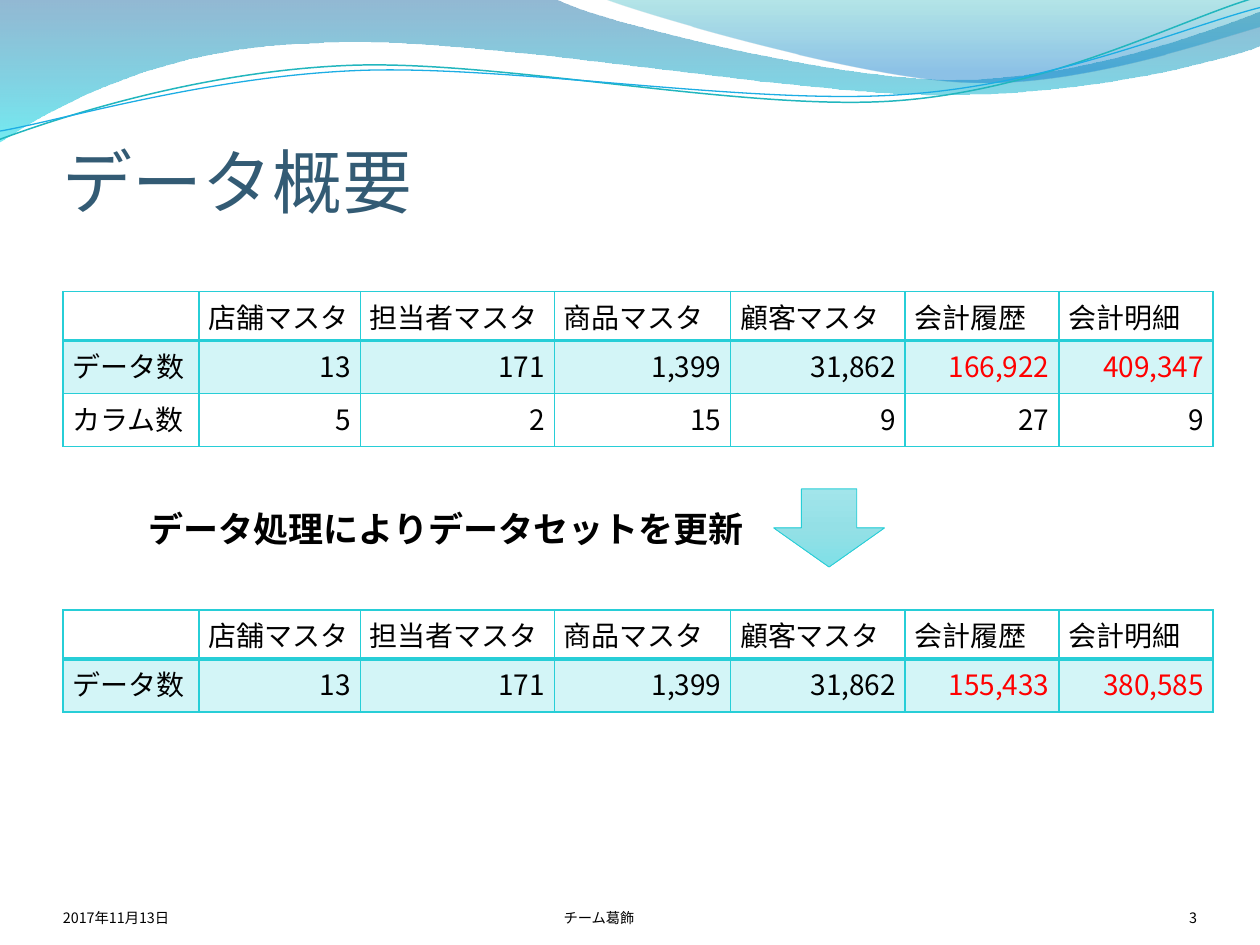
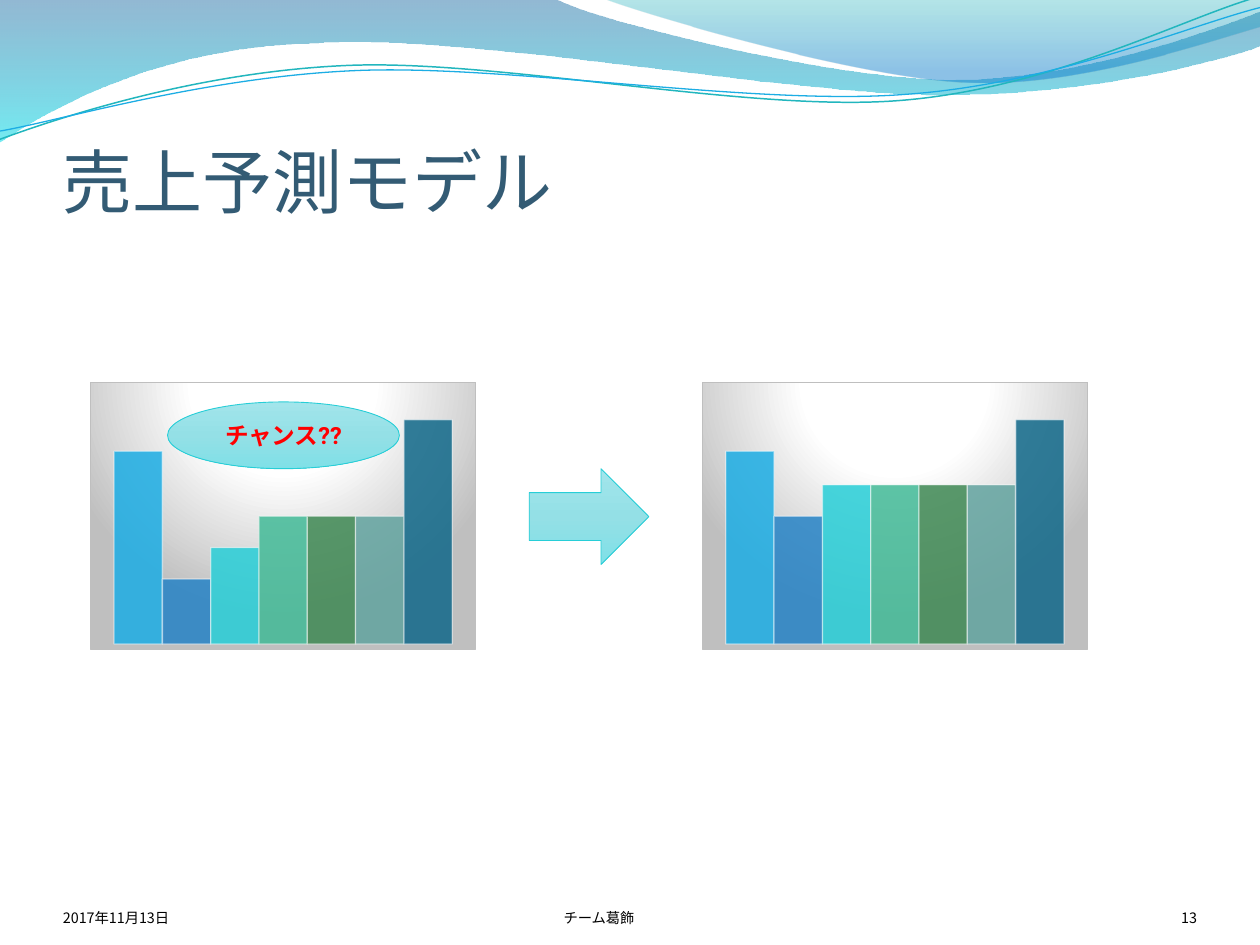
"""Build two slides: a data overview and a sales forecast model."""
from dataclasses import dataclass
from math import cos, radians, sin

from lxml import etree
from pptx import Presentation
from pptx.chart.data import CategoryChartData
from pptx.dml.color import RGBColor
from pptx.enum.chart import XL_CHART_TYPE
from pptx.enum.shapes import MSO_SHAPE
from pptx.enum.text import MSO_ANCHOR, PP_ALIGN
from pptx.oxml.ns import qn
from pptx.util import Inches, Pt

LEFT, CENTER, RIGHT = PP_ALIGN.LEFT, PP_ALIGN.CENTER, PP_ALIGN.RIGHT
TOP, MIDDLE, BOTTOM = MSO_ANCHOR.TOP, MSO_ANCHOR.MIDDLE, MSO_ANCHOR.BOTTOM
DOWN_ARROW, RIGHT_ARROW = MSO_SHAPE.DOWN_ARROW, MSO_SHAPE.RIGHT_ARROW
OVAL = MSO_SHAPE.OVAL
CLUSTERED = XL_CHART_TYPE.COLUMN_CLUSTERED
BLANK_LAYOUT = 6

# The slide is a grid of 100 columns by 75 rows with square cells.
SLIDE_WIDTH, SLIDE_HEIGHT = Inches(10), Inches(7.5)
CELL = SLIDE_WIDTH // 100


@dataclass(frozen=True)
class Theme:
    """Colours, fonts and type sizes of the deck."""
    font: str = "Noto Sans CJK JP"
    chart_font: str = "Roboto"
    title: str = "335B74"
    text: str = "000000"
    alert: str = "FF0000"
    accent: str = "27CED7"
    white: str = "FFFFFF"
    panel_edge: str = "BFBFBF"
    bars: tuple = ("1CADE4", "2683C6", "27CED7", "42BA97", "3E8853", "62A39F", "106889")
    glow: tuple = ((0, "A2E5EB", 100), (50, "94E0E6", 100), (100, "7FE0E7", 100))
    panel: tuple = ((0, "FFFFFF", 100), (39, "FFFFFF", 100), (100, "BFBFBF", 100))
    title_size: float = 40
    lead_size: float = 20
    table_size: float = 16
    callout_size: float = 13.5
    chart_size: float = 10
    footer_size: float = 8.2


THEME = Theme()

# Wave outlines in grid cells: a pair is a straight step, six numbers a curve.
WAVE_BANDS = (
    (((0, 0), (44, -.1), (47.5, 1.7, 66.3, 6.3, 75.8, 6.3),
      (85.3, 6.3, 95.8, 2.6, 100, .9), (100.1, 3.6),
      (98.3, 4.4, 86.9, 7.6, 74.6, 7.5), (62.2, 7.5, 38.1, 2.8, 25.7, 3.4),
      (12.9, 3.6, 4.6, 8.3, -.1, 11.3), (0, 0)),
     ((0, "10639E", 45), (100, "00DBE7", 55))),
    (((47.9, -.1), (50.9, 1.1, 68.2, 6.2, 76.8, 6.5),
      (85.5, 6.9, 96.1, 3.2, 100, 2.1), (100, 0), (47.9, -.1)),
     ((0, "09AAB3", 30), (80, "0578CB", 45))),
)
# Each line has its outline, the centre it is turned around, colour and width.
WAVE_LINES = (
    (((-.1, 11.1), (4.8, 9.3, 15.7, 5.7, 27.6, 5.2),
      (39.5, 4.7, 59.2, 8.9, 71.2, 8), (83.3, 7.1, 93.8, 1.5, 99.7, -.2)),
     (49.9, 5.75), "22B6BE", .85),
    (((0, 10.4), (4.7, 9.6, 16.3, 6.1, 28.3, 5.6),
      (40.2, 5.1, 59.7, 8.4, 71.7, 7.5), (83.6, 6.7, 94.1, 2.1, 100, .6)),
     (49.95, 5.9), "1CADE4", .75),
)
WAVE_TURN = -2.7

TABLE_COLUMNS = (10.8, 12.8, 15.4, 14, 13.85, 12.2, 12.25)
TABLE_HEADER = ("", "店舗マスタ", "担当者マスタ", "商品マスタ", "顧客マスタ", "会計履歴", "会計明細")
COUNTS_BEFORE = ("データ数", "13", "171", "1,399", "31,862", "166,922", "409,347")
COUNTS_AFTER = ("データ数", "13", "171", "1,399", "31,862", "155,433", "380,585")
FIELD_COUNTS = ("カラム数", "5", "2", "15", "9", "27", "9")
FIRST_CHANGED_COLUMN = 5

SALES_NOW = (86, 29, 43, 57, 57, 57, 100)
SALES_GOAL = (86, 57, 71, 71, 71, 71, 100)
CHART_MAXIMUM = 114.3


def cells(*lengths):
    """Turn grid cells into slide lengths."""
    return [round(length * CELL) for length in lengths]


def color(value):
    """Return the colour object for a hex value."""
    return RGBColor.from_string(value)


def set_alpha(solid_fill, percent):
    """Set the opacity of a solid fill element."""
    etree.SubElement(solid_fill[0], qn("a:alpha"), val=str(percent * 1000))


def gradient(stops, focus=None):
    """Return a gradient element: downwards, or circular around a focus rectangle."""
    element = etree.Element(qn("a:gradFill"), rotWithShape="1")
    stop_list = etree.SubElement(element, qn("a:gsLst"))
    for position, value, opacity in stops:
        stop = etree.SubElement(stop_list, qn("a:gs"), pos=str(position * 1000))
        tint = etree.SubElement(stop, qn("a:srgbClr"), val=value)
        if opacity < 100:
            etree.SubElement(tint, qn("a:alpha"), val=str(opacity * 1000))
    if focus:
        circle = etree.SubElement(element, qn("a:path"), path="circle")
        sides = {side: str(share * 1000) for side, share in zip("ltrb", focus)}
        etree.SubElement(circle, qn("a:fillToRect"), **sides)
    else:
        etree.SubElement(element, qn("a:lin"), ang="5400000", scaled="0")
    return element


def fill_gradient(shape, stops):
    """Fill a shape with a downward gradient."""
    shape.fill.background()
    properties = shape._element.spPr
    properties.replace(properties.find(qn("a:noFill")), gradient(stops))


def set_line(line, value, width):
    """Give a line its colour and width in points."""
    line.color.rgb = color(value)
    line.width = Pt(width)


def write(frame, text, size, value=THEME.text, align=LEFT, bold=False, font=THEME.font):
    """Write one paragraph with a single font and return it."""
    paragraph = frame.paragraphs[0]
    paragraph.text = text
    paragraph.alignment = align
    paragraph.font.size = Pt(size)
    paragraph.font.bold = bold
    paragraph.font.name = font
    paragraph.font.color.rgb = color(value)
    defaults = paragraph._p.pPr.find(qn("a:defRPr"))
    etree.SubElement(defaults, qn("a:ea"), typeface=THEME.font)
    return paragraph


def add_text(slide, box, text, size, anchor=TOP, insets=None, **style):
    """Add a text box, with insets in grid cells, and return its paragraph."""
    frame = slide.shapes.add_textbox(*cells(*box)).text_frame
    frame.word_wrap = True
    frame.vertical_anchor = anchor
    if insets:
        (frame.margin_left, frame.margin_top,
         frame.margin_right, frame.margin_bottom) = cells(*insets)
    return write(frame, text, size, **style)


def turn(point, center, degrees):
    """Turn a point around a centre, clockwise on the slide."""
    x, y = point[0] - center[0], point[1] - center[1]
    c, s = cos(radians(degrees)), sin(radians(degrees))
    return center[0] + x * c - y * s, center[1] + x * s + y * c


def add_outline(slide, outline, center=(0, 0), rotation=0):
    """Add a freeform with real curves, drawn level and then rotated."""
    points = [turn(segment[i:i + 2], center, -rotation)
              for segment in outline for i in range(0, len(segment), 2)]
    first, *others = [cells(*point) for point in points]
    builder = slide.shapes.build_freeform(*first)
    builder.add_line_segments(others, close=outline[0] == outline[-1])
    shape = builder.convert_to_shape()
    shape.shadow.inherit = False
    shape.rotation = rotation
    steps = iter(list(shape._element.iter(qn("a:lnTo"))))
    for segment in outline[1:]:
        step = next(steps)
        if len(segment) == 6:
            curve = etree.Element(qn("a:cubicBezTo"))
            step.addprevious(curve)
            for handle in (step, next(steps), next(steps)):
                curve.append(handle[0])
                handle.getparent().remove(handle)
    return shape


def add_waves(slide):
    """Draw the wave bands and lines along the top edge."""
    for outline, stops in WAVE_BANDS:
        band = add_outline(slide, outline)
        fill_gradient(band, stops)
        band.line.fill.background()
    for outline, center, value, width in WAVE_LINES:
        curve = add_outline(slide, outline, center, WAVE_TURN)
        curve.fill.background()
        set_line(curve.line, value, width)


def add_base_slide(presentation, title, number):
    """Add a slide with waves, title and footer."""
    slide = presentation.slides.add_slide(presentation.slide_layouts[BLANK_LAYOUT])
    add_waves(slide)
    heading = add_text(slide, (5, 5.1, 90, 12.5), title, THEME.title_size,
                       anchor=BOTTOM, insets=(0, .5, 0, 0), value=THEME.title)
    heading.line_spacing = .8
    for left, width, text, align in ((5, 23.3, "2017年11月13日", LEFT),
                                     (29.2, 36.7, "チーム葛飾", CENTER),
                                     (86.7, 8.3, str(number), RIGHT)):
        add_text(slide, (left, 69.5, width, 4), text, THEME.footer_size,
                 anchor=BOTTOM, insets=(0, 0, 0, 0), align=align)
    return slide


def add_glow_shape(slide, kind, box):
    """Add a preset shape in the accent gradient."""
    shape = slide.shapes.add_shape(kind, *cells(*box))
    shape.shadow.inherit = False
    fill_gradient(shape, THEME.glow)
    set_line(shape.line, THEME.accent, .5)
    return shape


def set_borders(cell, top, bottom):
    """Frame a cell in the accent colour; top and bottom widths in points."""
    properties = cell._tc.get_or_add_tcPr()
    edges = (("a:lnL", 1), ("a:lnR", 1), ("a:lnT", top), ("a:lnB", bottom))
    for index, (tag, width) in enumerate(edges):
        edge = etree.Element(qn(tag), w=str(Pt(width)))
        fill = etree.SubElement(edge, qn("a:solidFill"))
        etree.SubElement(fill, qn("a:srgbClr"), val=THEME.accent)
        properties.insert(index, edge)


def add_data_table(slide, top, rows):
    """Add a table: a header, a tinted row of counts, then plain rows."""
    heights = [3.9] + [4.2] * (len(rows) - 1)
    box = cells(5, top, sum(TABLE_COLUMNS), sum(heights))
    table = slide.shapes.add_table(len(rows), len(TABLE_COLUMNS), *box).table
    table.first_row = table.horz_banding = False
    for column, width in zip(table.columns, cells(*TABLE_COLUMNS)):
        column.width = width
    for row, height in zip(table.rows, cells(*heights)):
        row.height = height
    for i, texts in enumerate(rows):
        for j, text in enumerate(texts):
            cell = table.cell(i, j)
            cell.margin_left, cell.margin_right = cells(.75, .75)
            cell.margin_top, cell.margin_bottom = cells(.37, .37)
            changed = i == 1 and j >= FIRST_CHANGED_COLUMN
            write(cell.text_frame, text, THEME.table_size,
                  value=THEME.alert if changed else THEME.text,
                  align=RIGHT if i and j else LEFT)
            if i == 1:
                cell.fill.solid()
                cell.fill.fore_color.rgb = color(THEME.accent)
                set_alpha(cell._tc.tcPr.find(qn("a:solidFill")), 20)
            else:
                cell.fill.background()
            set_borders(cell, top=2 if i == 1 else 1, bottom=1 if i else 2)


def add_sales_chart(slide, left, values):
    """Add a column chart with one bar per series on a shaded panel."""
    data = CategoryChartData()
    data.categories = ["1"]
    for number, value in enumerate(values, 1):
        data.add_series(f"Series {number}", [value])
    box = cells(left, 30.3, 30.65, 21.3)
    chart = slide.shapes.add_chart(CLUSTERED, *box, data).chart
    chart.has_legend = chart.has_title = False
    chart.font.name, chart.font.size = THEME.chart_font, Pt(THEME.chart_size)
    chart.font.color.rgb = color(THEME.text)
    chart.value_axis.has_major_gridlines = False
    chart.value_axis.minimum_scale, chart.value_axis.maximum_scale = 0, CHART_MAXIMUM
    chart.category_axis.visible = chart.value_axis.visible = False
    plot = chart.plots[0]
    plot.gap_width, plot.overlap, plot.vary_by_categories = 65, 0, False
    for series, value in zip(plot.series, THEME.bars):
        series.format.fill.solid()
        series.format.fill.fore_color.rgb = color(value)
        set_line(series.format.line, THEME.white, .75)
        properties = series._element.find(qn("c:spPr"))
        set_alpha(properties.find(qn("a:solidFill")), 85)
        set_alpha(properties.find(qn("a:ln")).find(qn("a:solidFill")), 50)
    panel = etree.Element(qn("c:spPr"))
    panel.append(gradient(THEME.panel, focus=(50, -80, 50, 180)))
    edge = etree.SubElement(panel, qn("a:ln"), w=str(Pt(.75)))
    fill = etree.SubElement(edge, qn("a:solidFill"))
    etree.SubElement(fill, qn("a:srgbClr"), val=THEME.panel_edge)
    chart._chartSpace.find(qn("c:chart")).addnext(panel)


def build_overview(presentation):
    """Build the slide with record counts before and after processing."""
    slide = add_base_slide(presentation, "データ概要", 3)
    add_data_table(slide, 23.15, (TABLE_HEADER, COUNTS_BEFORE, FIELD_COUNTS))
    add_glow_shape(slide, DOWN_ARROW, (61.4, 38.8, 8.8, 6.2))
    add_text(slide, (10.8, 39.8, 90, 4.3), "データ処理によりデータセットを更新",
             THEME.lead_size, bold=True)
    add_data_table(slide, 48.4, (TABLE_HEADER, COUNTS_AFTER))


def build_forecast(presentation):
    """Build the slide comparing current and forecast sales."""
    slide = add_base_slide(presentation, "売上予測モデル　", 13)
    add_sales_chart(slide, 7.15, SALES_NOW)
    add_glow_shape(slide, RIGHT_ARROW, (42, 37.2, 9.5, 7.6))
    add_sales_chart(slide, 55.7, SALES_GOAL)
    callout = add_glow_shape(slide, OVAL, (13.3, 31.9, 18.4, 5.3))
    callout.text_frame.vertical_anchor = MIDDLE
    write(callout.text_frame, "チャンス??", THEME.callout_size, value=THEME.alert,
          align=CENTER, bold=True, font=THEME.chart_font)


def main():
    """Build and save the presentation."""
    presentation = Presentation()
    presentation.slide_width, presentation.slide_height = SLIDE_WIDTH, SLIDE_HEIGHT
    build_overview(presentation)
    build_forecast(presentation)
    presentation.save("out.pptx")


main()
